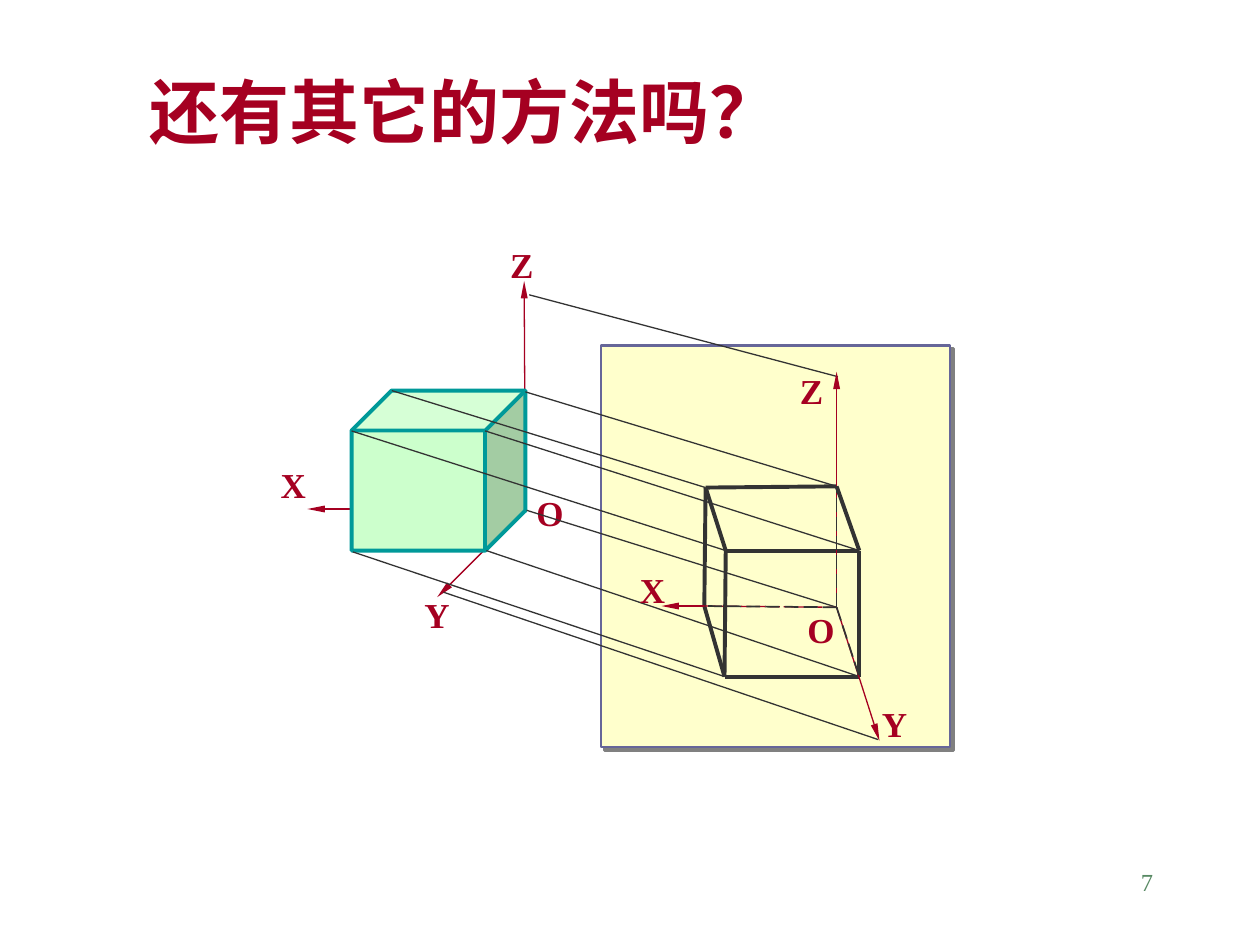
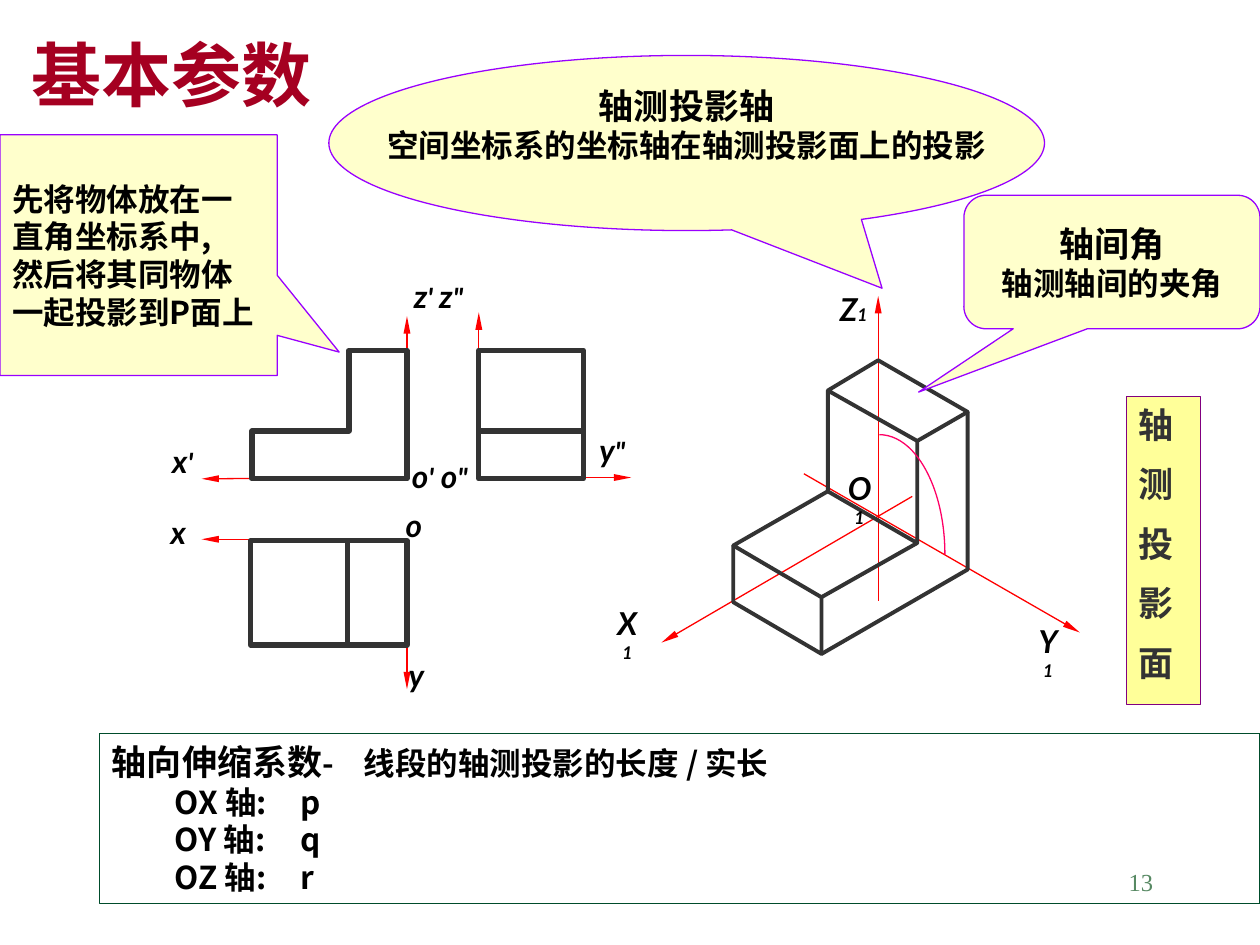
"""Build two slides on axonometric projection."""
from dataclasses import dataclass

import pptx
import pptx.util
import pptx.dml.color
import pptx.enum.dml
import pptx.enum.shapes
import pptx.enum.text
import pptx.oxml
import pptx.oxml.ns
from lxml import etree

Inches = pptx.util.Inches
Pt = pptx.util.Pt
SHAPE = pptx.enum.shapes.MSO_SHAPE
ALIGN = pptx.enum.text.PP_ALIGN
ANCHOR = pptx.enum.text.MSO_ANCHOR
qn = pptx.oxml.ns.qn


@dataclass(frozen=True)
class Theme:
    """Colours, faces and type sizes shared by the slides."""
    red: str = "A50021"
    ink: str = "333333"
    black: str = "000000"
    axis: str = "FF0000"
    arc: str = "FF0066"
    violet: str = "9900FF"
    plum: str = "800080"
    cream: str = "FFFFCC"
    lemon: str = "FFFF99"
    mint: str = "CCFFCC"
    teal: str = "009999"
    slate: str = "666699"
    pine: str = "004C2B"
    sage: str = "578963"
    grey: str = "808080"
    han: str = "Noto Sans CJK SC"
    serif: str = "Times New Roman"
    sans: str = "Lato"
    title: int = 40
    head: int = 20
    body: int = 18
    mark: int = 16
    page: int = 14
    sub: int = 10
    thin: float = 0.75
    bold: float = 2.25
    thick: float = 3


T = Theme()


def rgb(tint):
    """Turn a hex string into a colour."""
    return pptx.dml.color.RGBColor.from_string(tint)


def write(frame, rows, size, tint, face=T.han, align=ALIGN.LEFT, bold=True,
          italic=False, wrap=False, anchor=ANCHOR.TOP, gap=0):
    """Fill a frame; a row is a string or a list of (text, size) runs."""
    frame.auto_size = pptx.enum.text.MSO_AUTO_SIZE.NONE
    frame.word_wrap = wrap
    frame.vertical_anchor = anchor
    for n, row in enumerate(rows):
        para = frame.paragraphs[0] if n == 0 else frame.add_paragraph()
        runs = [(row, size)] if isinstance(row, str) else row
        top = max(pt for _, pt in runs)
        para.alignment = align
        para.space_before = Pt(gap if n else 0)
        if face == T.han or gap:
            para.line_spacing = Pt(1.2 * top)
        font = para.font
        font.size, font.bold, font.italic = Pt(top), bold, italic
        font.color.rgb = rgb(tint)
        font.name = face
        base = para._p.pPr.find(qn("a:defRPr"))
        etree.SubElement(base, qn("a:ea")).set("typeface", T.han)
        for text, pt in runs:
            run = para.add_run()
            run.text = text
            if pt != top:
                run.font.size = Pt(pt)


def label(slide, at, runs, size, tint, **style):
    """Add a text box with one row."""
    box = slide.shapes.add_textbox(*map(Inches, at))
    write(box.text_frame, [runs], size, tint, **style)


def paint(shape, fill, tint, width):
    """Set the fill and outline of a shape, without a shadow."""
    shape.shadow.inherit = False
    if fill:
        shape.fill.solid()
        shape.fill.fore_color.rgb = rgb(fill)
    else:
        shape.fill.background()
    shape.line.color.rgb = rgb(tint)
    shape.line.width = Pt(width)


def block(slide, kind, at, fill, tint, width=T.thin, adjust=()):
    """Add a preset shape."""
    shape = slide.shapes.add_shape(kind, *map(Inches, at))
    for n, value in enumerate(adjust):
        shape.adjustments[n] = value
    paint(shape, fill, tint, width)
    return shape


def path(slide, points, close=False):
    """Add an unfilled outline through the points."""
    spots = [(Inches(x), Inches(y)) for x, y in points]
    pen = slide.shapes.build_freeform(*spots[0])
    pen.add_line_segments(spots[1:], close=close)
    paint(pen.convert_to_shape(), None, T.ink, T.bold)


def line(slide, start, end, tint=T.ink, width=T.thin, dash=False, arrow=False):
    """Add a straight line, dashed or with an arrowhead if asked."""
    link = slide.shapes.add_connector(
        pptx.enum.shapes.MSO_CONNECTOR.STRAIGHT, *map(Inches, (*start, *end)))
    link.line.color.rgb = rgb(tint)
    link.line.width = Pt(width)
    if dash:
        link.line.dash_style = pptx.enum.dml.MSO_LINE.LONG_DASH
    props = link._element.spPr
    if arrow:
        head = etree.SubElement(props.find(qn("a:ln")), qn("a:tailEnd"))
        for key, value in (("type", "triangle"), ("w", "sm"), ("len", "lg")):
            head.set(key, value)
    etree.SubElement(props, qn("a:effectLst"))


def shade(shape):
    """Give a shape a hard grey shadow to the lower right."""
    effects = shape._element.spPr.find(qn("a:effectLst"))
    effects.append(pptx.oxml.parse_xml(
        f'<a:outerShdw {pptx.oxml.ns.nsdecls("a")} dist="{Pt(2.8)}" dir="2700000" '
        f'algn="ctr" rotWithShape="0"><a:srgbClr val="{T.grey}"/></a:outerShdw>'))


def start(deck, title, at, number):
    """Add a slide with its title and page number."""
    slide = deck.slides.add_slide(deck.slide_layouts[5])
    head = slide.shapes.title
    head.left, head.top, head.width, head.height = map(Inches, at)
    write(head.text_frame, [title], T.title, T.red, wrap=True)
    label(slide, (7.17, 6.83, 2.08, 0.5), number, T.page, T.sage,
          face=T.serif, align=ALIGN.RIGHT, bold=False, wrap=True)
    return slide


def letters(slide, places):
    """Name the axes of the oblique view."""
    for text, x, y in places:
        label(slide, (x, y, 0.4, 0.43), text, T.head, T.red, face=T.serif)


def oblique(deck):
    """Show a cube projected along slanted rays."""
    slide = start(deck, "还有其它的方法吗？", (1.09, 0.49, 7.68, 0.77), "7")
    origin = (4.17, 4.04)
    for tip in ((2.44, 4.04), (3.47, 4.74), (4.16, 2.23)):
        line(slide, origin, tip, T.red, arrow=True)
    letters(slide, (("X", 2.13, 3.63), ("Y", 3.27, 4.66),
                    ("Z", 3.95, 1.88), ("O", 4.16, 3.85)))
    block(slide, SHAPE.CUBE, (2.79, 3.1, 1.38, 1.27), T.mint, T.teal, T.bold, (0.25,))
    shade(block(slide, SHAPE.RECTANGLE, (4.77, 2.74, 2.77, 3.19),
                T.cream, T.slate, 1.5))

    solid = {"A": (3.11, 3.1), "B": (4.17, 3.11), "C": (3.85, 3.42),
             "D": (2.79, 3.42), "E": (3.86, 4.37), "F": (2.8, 4.38),
             "O": (4.18, 4.05), "Y": (3.52, 4.7), "Z": (4.2, 2.34)}
    image = {"A": (5.6, 3.87), "B": (6.64, 3.86), "C": (6.82, 4.37),
             "D": (5.76, 4.37), "E": (6.82, 5.37), "F": (5.75, 5.37),
             "O": (6.64, 4.82), "H": (5.59, 4.81),
             "Y": (6.97, 5.87), "Z": (6.65, 2.99)}
    for name, spot in solid.items():
        line(slide, spot, image[name])
    for a, b in ("AB", "BC", "CD", "DA", "DF", "FE", "EC", "AH", "HF"):
        line(slide, image[a], image[b], width=T.bold)
    line(slide, image["O"], (6.64, 2.95), T.red, arrow=True)
    line(slide, image["O"], (6.98, 5.88), T.red, arrow=True)
    line(slide, image["O"], image["H"], T.red, dash=True)
    line(slide, image["H"], (5.25, 4.81), T.red, arrow=True)
    for name in "EBH":
        line(slide, image["O"], image[name], width=1, dash=True)
    letters(slide, (("Z", 6.25, 2.88), ("Y", 6.9, 5.53),
                    ("O", 6.31, 4.78), ("X", 4.98, 4.46)))


def views(slide):
    """Draw the three flat views with their axes."""
    for a, b in (((3.21, 3.79), (1.6, 3.8)), ((3.23, 3.8), (3.23, 2.51)),
                 ((3.2, 4.28), (1.6, 4.28)), ((3.23, 4.29), (3.23, 5.47)),
                 ((3.8, 3.77), (3.8, 2.48)), ((3.82, 3.79), (5.01, 3.79))):
        line(slide, a, b, T.axis, arrow=True)
    path(slide, [(3.23, 3.8), (2, 3.8), (2, 3.42), (2.77, 3.42),
                 (2.77, 2.78), (3.23, 2.78)], True)
    slide.shapes[-1].line.width = Pt(T.thick)
    for at in ((1.99, 4.29, 1.24, 0.83), (3.8, 2.78, 0.83, 1.02)):
        block(slide, SHAPE.RECTANGLE, at, None, T.ink, T.thick)
    line(slide, (2.76, 4.3), (2.76, 5.13), width=T.thick)
    line(slide, (3.8, 3.42), (4.63, 3.42), width=T.thick)


def model(slide):
    """Draw the axonometric view of the stepped block."""
    for a, b in (((6.97, 4.77), (6.97, 2.35)), ((7.24, 3.94), (5.25, 5.1)),
                 ((6.38, 3.76), (8.57, 5.02))):
        line(slide, a, b, T.axis, arrow=True)
    peak, wall, step, nook = (6.57, 3.1), (7.28, 3.5), (6.57, 3.9), (7.28, 4.31)
    left, edge, foot, far = (5.82, 4.33), (6.52, 4.74), (6.52, 5.19), (7.68, 3.27)
    line(slide, step, nook, width=0.25)
    path(slide, [peak, (6.97, 2.86), far, wall], True)
    path(slide, [peak, step, nook, wall])
    path(slide, [step, left, edge, nook])
    path(slide, [left, (5.82, 4.78), foot, edge])
    path(slide, [foot, (7.68, 4.52), far])
    block(slide, SHAPE.ARC, (6.46, 3.45, 1.04, 1.9), None, T.arc)


def names(slide):
    """Label the axes of the flat views and of the model."""
    big, mark, sub = T.body, T.mark, T.sub
    look = dict(face=T.sans, italic=True, anchor=ANCHOR.MIDDLE)
    for at, runs, wrap in (
            ((6.63, 3.76, 0.38), [("O", big), ("1", sub)], True),
            ((4.78, 4.83, 0.4), [("X", big), ("1", sub)], True),
            ((8.12, 4.97, 0.4), [("Y", big), ("1", sub)], True),
            ((6.5, 2.25, 0.55), [("Z", big), ("1", sub)], False),
            ((3.13, 3.97, 0.31), "o", False),
            ((1.19, 3.46, 0.52), [("x", big), ("'", mark)], False),
            ((1.26, 4.02, 0.31), "x", False),
            ((3.12, 2.15, 0.72), [("z", big), ("' ", mark), ("z", big), ('"', mark)], False),
            ((4.66, 3.37, 0.4), [("y", big), ('"', mark)], False),
            ((3.15, 5.16, 0.31), "y", False),
            ((3.15, 3.58, 0.68), [("o", big), ("'", mark), (" o", big), ('"', mark)], False)):
        label(slide, (*at, 0.4), runs, big, T.black,
              align=ALIGN.CENTER, wrap=wrap, **look)


def notes(slide):
    """Add the three callouts and the upright sign."""
    mid = dict(anchor=ANCHOR.MIDDLE)
    angle = block(slide, SHAPE.ROUNDED_RECTANGULAR_CALLOUT, (7.65, 1.55, 2.35, 1.06),
                  T.cream, T.violet, adjust=(-0.653, 0.974, 0.167))
    write(angle.text_frame, [[("轴间角", T.head)], "轴测轴间的夹角"],
          T.body, T.black, align=ALIGN.CENTER, **mid)
    axes = block(slide, SHAPE.OVAL_CALLOUT, (2.61, 0.44, 5.68, 1.39),
                 T.cream, T.violet, adjust=(0.273, 0.829))
    axes.text_frame.margin_top = 0
    axes.text_frame.margin_bottom = Inches(0.3)
    write(axes.text_frame,
          [[("轴测投影轴", T.head)], "空间坐标系的坐标轴在轴测投影面上的投影"],
          T.body, T.black, align=ALIGN.CENTER, **mid)
    setup = block(slide, SHAPE.RECTANGULAR_CALLOUT, (0, 1.07, 2.2, 1.91),
                  T.cream, T.violet, adjust=(0.724, 0.403))
    write(setup.text_frame,
          ["先将物体放在一", "直角坐标系中,", "然后将其同物体", "一起投影到P面上"],
          T.body, T.black, **mid)
    sign = block(slide, SHAPE.RECTANGLE, (8.94, 3.15, 0.59, 2.44), T.lemon, T.plum)
    write(sign.text_frame, list("轴测投影面"), T.head, T.ink,
          face=T.serif, wrap=True, gap=10)


def basics(deck):
    """Show the basic parameters of axonometric projection."""
    slide = start(deck, "基本参数", (0.15, 0.2, 3.7, 0.77), "13")
    ratio = block(slide, SHAPE.RECTANGLE, (0.79, 5.82, 9.21, 1.35), None, T.pine)
    rows = [f"\tO{axis} 轴:\t{sign}" for axis, sign in zip("XYZ", "pqr")]
    lead = [("轴向伸缩系数", T.head), ("-\t线段的轴测投影的长度 / 实长", T.body)]
    write(ratio.text_frame, [lead, *rows], T.body, T.black,
          wrap=True, anchor=ANCHOR.MIDDLE)
    model(slide)
    notes(slide)
    views(slide)
    names(slide)


def main():
    """Build and save the deck."""
    deck = pptx.Presentation()
    deck.slide_width, deck.slide_height = Inches(10), Inches(7.5)
    oblique(deck)
    basics(deck)
    deck.save("out.pptx")


if __name__ == "__main__":
    main()
